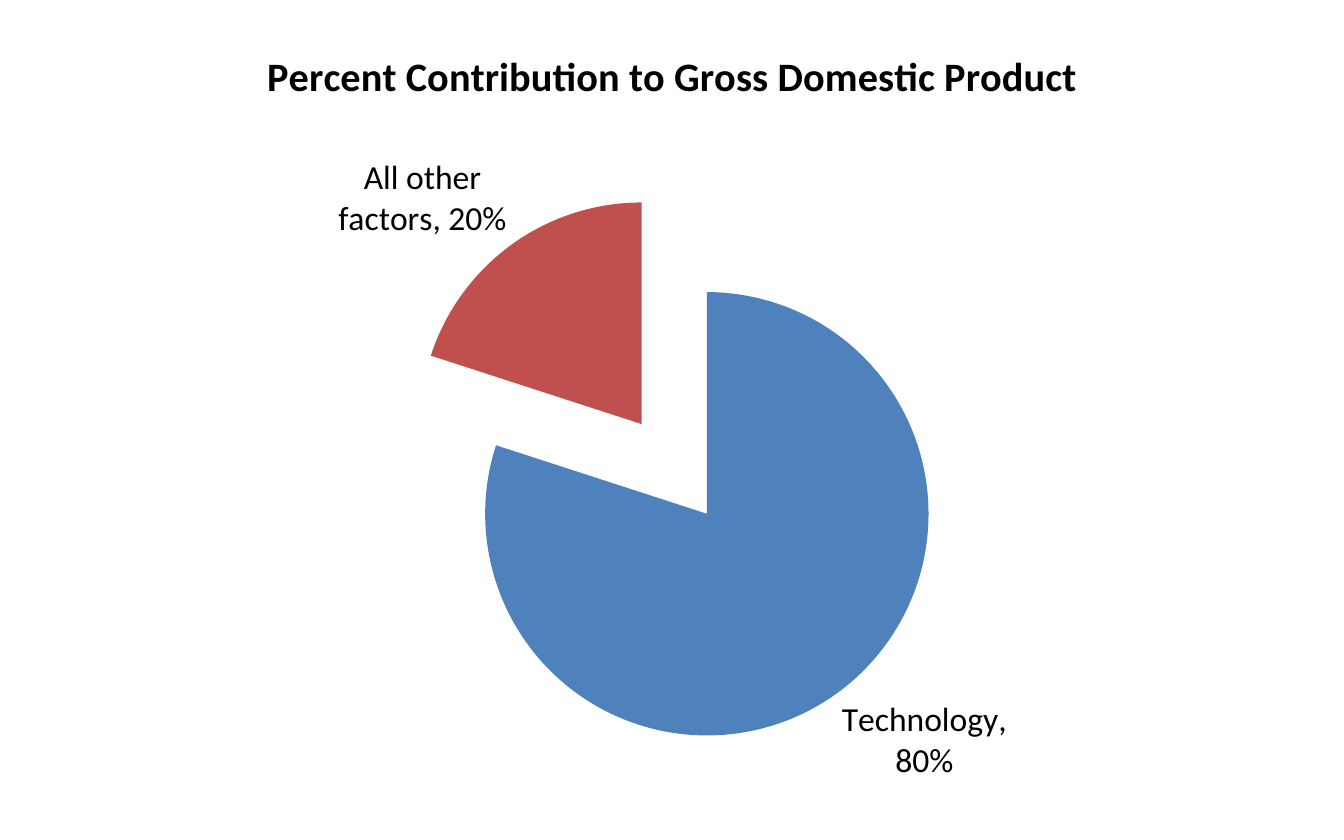
from lxml import etree
from pptx import Presentation
from pptx import util as u
from pptx.chart import data as chart_data
from pptx.dml import color
from pptx.enum import chart as charts
from pptx.oxml import ns

PX = 9525
COLOURS = {
    "background": "FFFFFF",
    "text": "000000",
    "technology": "4F81BD",
    "other": "C0504D",
}


def rgb(name):
    return color.RGBColor.from_string(COLOURS[name])


def style_font(font, size=18, bold=False, colour="text", name="Calibri"):
    font.name = name
    font.size = u.Pt(size)
    font.bold = bold
    font.color.rgb = rgb(colour)


def write_text(frame, text, **style):
    run = frame.paragraphs[0].add_run()
    run.text = text
    style_font(run.font, **style)


class SlideBuilder:
    def __init__(self, slide):
        self.slide = slide
        slide.background.fill.solid()
        slide.background.fill.fore_color.rgb = rgb("background")

    def pie(self, box, title, shares, explosion):
        data = chart_data.CategoryChartData(number_format="0")
        data.categories = [label for label, value, colour in shares]
        data.add_series("Series 1", [value for label, value, colour in shares])
        left, top, width, height = (length * PX for length in box)
        chart = self.slide.shapes.add_chart(
            charts.XL_CHART_TYPE.PIE, left, top, width, height, data
        ).chart
        style_font(chart.font)
        chart.has_legend = False
        chart.has_title = True
        write_text(chart.chart_title.text_frame, title, size=21.6, bold=True)
        chart.chart_title.include_in_layout = False

        plot = chart.plots[0]
        plot.vary_by_categories = True
        series = plot.series[0]
        for index, (label, value, colour) in enumerate(shares):
            fill = series.points[index].format.fill
            fill.solid()
            fill.fore_color.rgb = rgb(colour)
        element = etree.Element(ns.qn("c:explosion"), val=str(explosion))
        series._element.find(ns.qn("c:dPt")).addprevious(element)
        self.pie_labels(series.data_labels)

    def pie_labels(self, labels):
        labels.show_value = False
        labels.show_category_name = True
        labels.show_percentage = True
        labels.number_format = "0%"
        labels.number_format_is_linked = False
        labels.position = charts.XL_LABEL_POSITION.OUTSIDE_END
        style_font(labels.font)
        separator = etree.Element(ns.qn("c:separator"))
        separator.text = ", "
        labels._element.find(ns.qn("c:showBubbleSize")).addnext(separator)


def main():
    presentation = Presentation()
    presentation.slide_width = 960 * PX
    presentation.slide_height = 600 * PX
    blank = presentation.slide_layouts[6]
    builder = SlideBuilder(presentation.slides.add_slide(blank))
    builder.pie(
        (75, 12, 811, 576),
        "Percent Contribution to Gross Domestic Product",
        [("Technology", 80, "technology"), ("All other factors", 20, "other")],
        explosion=25,
    )
    presentation.save("out.pptx")


if __name__ == "__main__":
    main()
